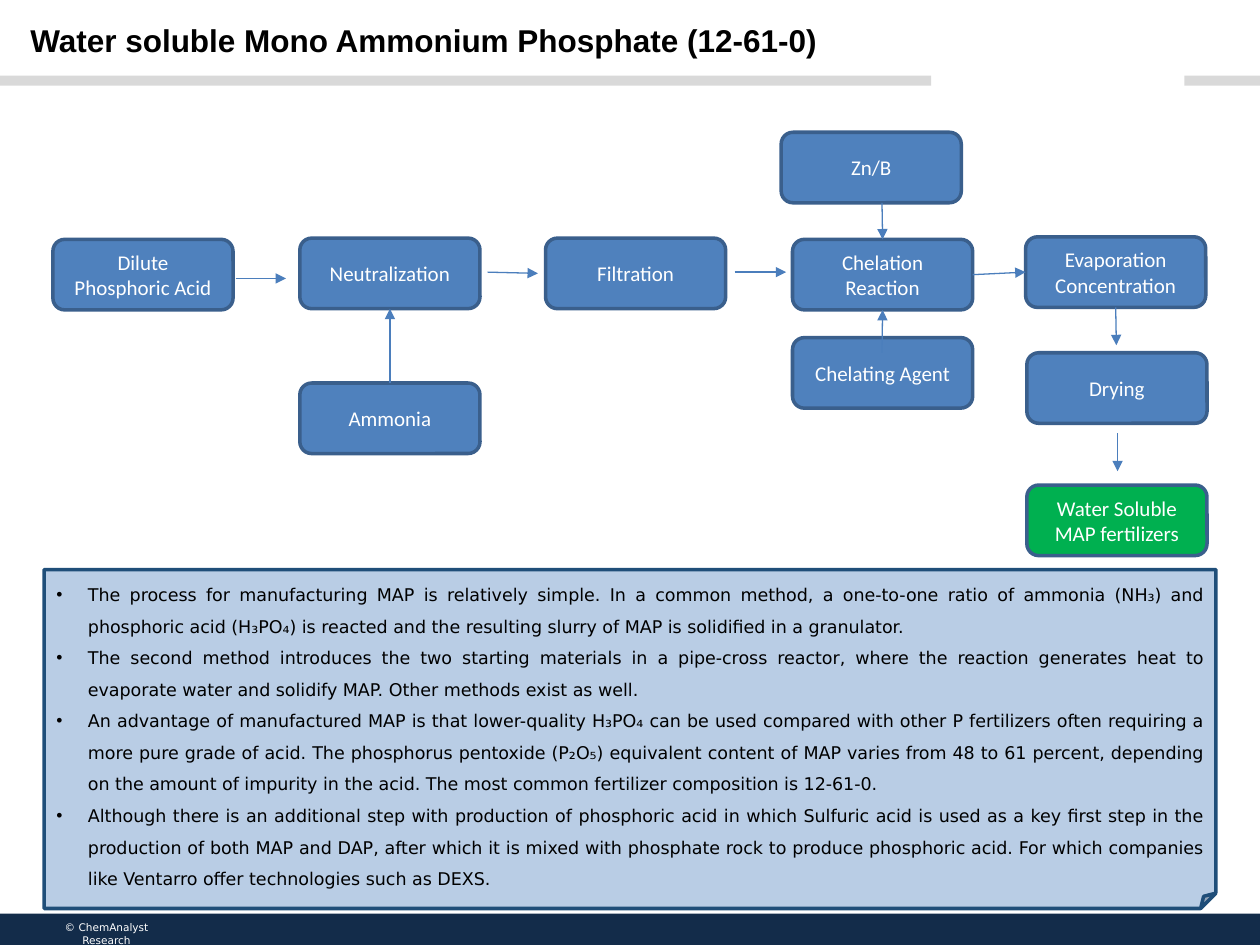
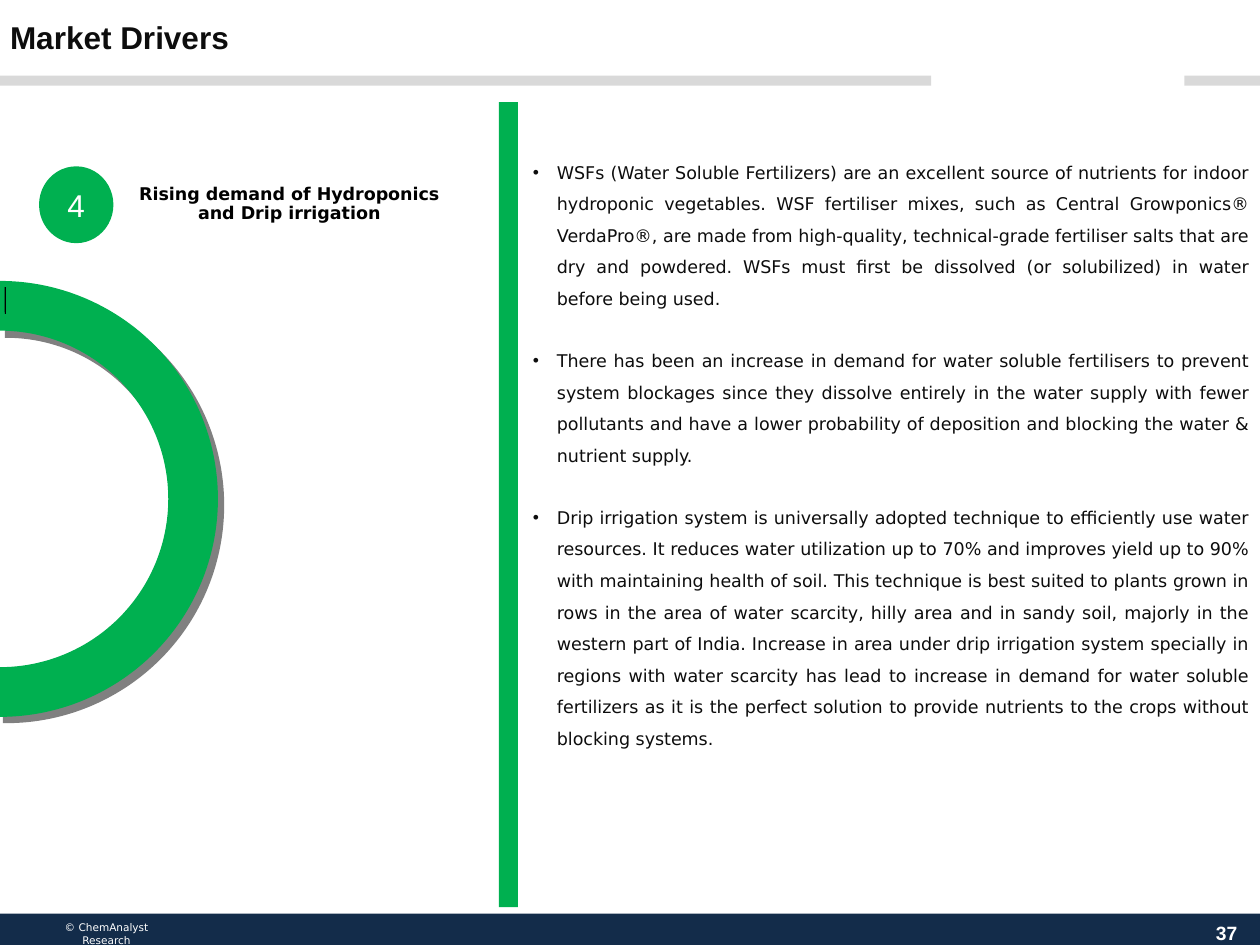
import pptx
import pptx.util
from pptx.dml.color import RGBColor
from pptx.enum.shapes import MSO_CONNECTOR, MSO_SHAPE
from pptx.enum.text import MSO_ANCHOR, MSO_AUTO_SIZE, PP_ALIGN
from pptx.oxml.ns import qn
from pptx.util import Inches, Pt
from lxml import etree

WHITE = RGBColor(0xFF, 0xFF, 0xFF)
BLACK = RGBColor(0x00, 0x00, 0x00)
INK = RGBColor(0x0D, 0x0D, 0x0D)
GRAY = RGBColor(0xD9, 0xD9, 0xD9)
SHADE = RGBColor(0x80, 0x80, 0x80)
NAVY = RGBColor(0x13, 0x2C, 0x4A)
BLUE = RGBColor(0x4F, 0x81, 0xBD)
EDGE = RGBColor(0x3A, 0x5F, 0x8C)
ARROW = RGBColor(0x4B, 0x7E, 0xBC)
GREEN = RGBColor(0x00, 0xB0, 0x50)
PALE = RGBColor(0xB9, 0xCD, 0xE5)
RIM = RGBColor(0x1F, 0x4E, 0x79)

HEAD = {"name": "Arial", "size": Pt(18), "bold": True}
STEP = {"name": "Calibri", "size": Pt(12)}
BODY = {"name": "DejaVu Sans", "size": Pt(10)}
LABEL = {**BODY, "bold": True}
FOOT = {"name": "DejaVu Sans", "size": Pt(6)}
BADGE = {"name": "Arial", "size": Pt(18)}
PAGE = {"name": "Arial", "size": Pt(11), "bold": True}

TOP, LEFT, BOTTOM, RIGHT = range(4)
STEP_W, STEP_H = 1.43, 0.56
STEPS = {
    "Dilute Phosphoric Acid": (0.42, 1.9),
    "Neutralization": (2.38, 1.89),
    "Ammonia": (2.38, 3.04),
    "Filtration": (4.33, 1.89),
    "Zn/B": (6.2, 1.05),
    "Chelation Reaction": (6.29, 1.9),
    "Chelating Agent": (6.29, 2.68),
    "Evaporation Concentration": (8.14, 1.88),
    "Drying": (8.15, 2.8),
    "Water Soluble MAP fertilizers": (8.15, 3.85),
}
GOAL = "Water Soluble MAP fertilizers"

# Each end is a point, or a step and the side to join
LINKS = [
    (("Ammonia", TOP), ("Neutralization", BOTTOM)),
    ((1.87, 2.21), (2.27, 2.21)),
    ((3.87, 2.16), (4.27, 2.17)),
    ((5.83, 2.16), (6.24, 2.16)),
    (("Chelation Reaction", RIGHT), ("Evaporation Concentration", LEFT)),
    ((7, 2.8), ("Chelation Reaction", BOTTOM)),
    ((7, 1.61), ("Chelation Reaction", TOP)),
    (("Evaporation Concentration", BOTTOM), (8.86, 2.74)),
    ((8.87, 3.44), (8.87, 3.74)),
]

METHODS = [
    "The process for manufacturing MAP is relatively simple. In a common method, a one-to-one ratio of "
    "ammonia (NH₃) and phosphoric acid (H₃PO₄) is reacted and the resulting slurry of MAP is solidified "
    "in a granulator.",
    "The second method introduces the two starting materials in a pipe-cross reactor, where the reaction "
    "generates heat to evaporate water and solidify MAP. Other methods exist as well.",
    "An advantage of manufactured MAP is that lower-quality H₃PO₄ can be used compared with other P "
    "fertilizers often requiring a more pure grade of acid. The phosphorus pentoxide (P₂O₅) equivalent "
    "content of MAP varies from 48 to 61 percent, depending on the amount of impurity in the acid. The "
    "most common fertilizer composition is 12-61-0.",
    "Although there is an additional step with production of phosphoric acid in which Sulfuric acid is "
    "used as a key first step in the production of both MAP and DAP, after which it is mixed with "
    "phosphate rock to produce phosphoric acid. For which companies like Ventarro offer technologies "
    "such as DEXS.",
]
DRIVERS = [
    "WSFs (Water Soluble Fertilizers) are an excellent source of nutrients for indoor hydroponic "
    "vegetables. WSF fertiliser mixes, such as Central Growponics® VerdaPro®, are made from "
    "high-quality, technical-grade fertiliser salts that are dry and powdered. WSFs must first be "
    "dissolved (or solubilized) in water before being used.",
    "There has been an increase in demand for water soluble fertilisers to prevent system blockages "
    "since they dissolve entirely in the water supply with fewer pollutants and have a lower probability "
    "of deposition and blocking the water & nutrient supply.",
    "Drip irrigation system is universally adopted technique to efficiently use water resources. It "
    "reduces water utilization up to 70% and improves yield up to 90% with maintaining health of soil. "
    "This technique is best suited to plants grown in rows in the area of water scarcity, hilly area and "
    "in sandy soil, majorly in the western part of India. Increase in area under drip irrigation system "
    "specially in regions with water scarcity has lead to increase in demand for water soluble "
    "fertilizers as it is the perfect solution to provide nutrients to the crops without blocking "
    "systems.",
]


def place(shape, box):
    names = ("left", "top", "width", "height")
    for name, size in zip(names, box):
        setattr(shape, name, Inches(size))


def style(para, form, color, align):
    para.alignment = align
    for run in para.runs:
        for name, value in form.items():
            setattr(run.font, name, value)
        run.font.color.rgb = color


def write(frame, lines, form, color, align=PP_ALIGN.CENTER, anchor=MSO_ANCHOR.MIDDLE, inset=None):
    """Fill a text frame with one paragraph per line and return the paragraphs."""
    frame.word_wrap = True
    frame.auto_size = MSO_AUTO_SIZE.NONE
    frame.vertical_anchor = anchor
    if inset is not None:
        for side in ("left", "top", "right", "bottom"):
            setattr(frame, f"margin_{side}", Inches(inset))
    frame.text = "\n".join(lines)
    for para in frame.paragraphs:
        style(para, form, color, align)
    return frame.paragraphs


def bullet(frame, lines, color, indent, gap=0, **form):
    """Fill a text frame with a justified bullet list."""
    for num, para in enumerate(write(frame, lines, BODY, color, PP_ALIGN.JUSTIFY, **form)):
        para.line_spacing = 1.5
        para.space_before = Pt(gap if num else 0)
        props = para._p.get_or_add_pPr()
        props.set("marL", str(Inches(indent)))
        props.set("indent", str(-Inches(indent)))
        etree.SubElement(props, qn("a:buFont"), typeface="Arial")
        etree.SubElement(props, qn("a:buChar"), char="•")


def draw(slide, kind, box, fill, edge=None):
    shape = slide.shapes.add_shape(kind, *map(Inches, box))
    shape.shadow.inherit = False
    shape.fill.solid()
    shape.fill.fore_color.rgb = fill
    if edge:
        shape.line.color.rgb = edge
        shape.line.width = Pt(2)
    else:
        shape.line.fill.background()
    return shape


def adjust(shape, **values):
    """Set the shape's named guides, given as fractions of 100000."""
    guides = shape._element.spPr.find(qn("a:prstGeom")).get_or_add_avLst()
    for guide in list(guides):
        guides.remove(guide)
    for name, value in values.items():
        etree.SubElement(guides, qn("a:gd"), name=name, fmla=f"val {round(value * 100000)}")


def note(slide, box, lines, form, color, **more):
    frame = slide.shapes.add_textbox(*map(Inches, box)).text_frame
    return write(frame, lines, form, color, **more)


def frame_page(deck, layout, title, spot, color):
    """Add a slide with the shared bands, footer and title."""
    slide = deck.slides.add_slide(deck.slide_layouts[layout])
    for left, width in ((0, 7.39), (9.4, 0.6)):
        draw(slide, MSO_SHAPE.RECTANGLE, (left, 0.6, width, 0.08), GRAY)
    draw(slide, MSO_SHAPE.RECTANGLE, (0, 7.25, 10, 0.25), NAVY)
    note(slide, (0.5, 7.31, 0.69, 0.23), ["© ChemAnalyst", "Research"], FOOT, WHITE,
         anchor=MSO_ANCHOR.TOP, inset=0)
    place(slide.shapes.title, (*spot, 8.4, 0.4))
    write(slide.shapes.title.text_frame, [title], HEAD, color, PP_ALIGN.LEFT, MSO_ANCHOR.TOP, 0)
    return slide


def link(slide, steps, start, end):
    """Draw an arrow, joining each end that names a step."""
    points = [(0, 0) if spot[0] in steps else spot for spot in (start, end)]
    line = slide.shapes.add_connector(MSO_CONNECTOR.STRAIGHT, *(Inches(n) for p in points for n in p))
    for spot, join in ((start, line.begin_connect), (end, line.end_connect)):
        if spot[0] in steps:
            join(steps[spot[0]], spot[1])
    line.line.color.rgb = ARROW
    line.line.width = Pt(0.75)
    etree.SubElement(line.line._get_or_add_ln(), qn("a:tailEnd"), type="triangle")
    etree.SubElement(line._element.spPr, qn("a:effectLst"))


def flow(slide):
    steps = {}
    for name, spot in STEPS.items():
        fill = GREEN if name == GOAL else BLUE
        box = (*spot, STEP_W, STEP_H)
        steps[name] = draw(slide, MSO_SHAPE.ROUNDED_RECTANGLE, box, fill, EDGE)
        write(steps[name].text_frame, [name], STEP, WHITE)
    for start, end in LINKS:
        link(slide, steps, start, end)


def panel(slide, box):
    shape = draw(slide, MSO_SHAPE.FOLDED_CORNER, box, PALE, RIM)
    adjust(shape, adj=0.045)
    bullet(shape.text_frame, METHODS, BLACK, 0.25)


def ring(slide, left, top, size):
    """Draw the half ring over its offset shade, with a thin tick at its start."""
    shift = 0.05
    arcs = [(shift, 54.54, 0.116, SHADE), (0, 54, 0.114, GREEN), (shift, 161.95, 0.061, BLACK)]
    for move, stop, thick, fill in arcs:
        arc = draw(slide, MSO_SHAPE.BLOCK_ARC, (left + move, top + move, size, size), fill)
        adjust(arc, adj1=161.74, adj2=stop, adj3=thick)


def topic(slide, left, top, number, text):
    badge = draw(slide, MSO_SHAPE.OVAL, (left, top, 0.59, 0.61), GREEN)
    write(badge.text_frame, [number], BADGE, WHITE)
    para, = note(slide, (left + 0.58, top + 0.1, 2.81, 0.4), [text], LABEL, BLACK)
    para.line_spacing = 0.9


def process(deck):
    slide = frame_page(deck, 5, "Water soluble Mono Ammonium Phosphate (12-61-0)", (0.24, 0.17), BLACK)
    flow(slide)
    panel(slide, (0.35, 4.52, 9.3, 2.69))


def market(deck):
    slide = frame_page(deck, 1, "Market Drivers", (0.08, 0.14), INK)
    body = slide.placeholders[1]
    place(body, (4.23, 1.2, 5.68, 6))
    bullet(body.text_frame, DRIVERS, INK, 0.19, gap=17.5, anchor=MSO_ANCHOR.TOP, inset=0)
    ring(slide, -1.73, 2.23, 3.46)
    topic(slide, 0.31, 1.32, "4", "Rising demand of Hydroponics and Drip irrigation")
    draw(slide, MSO_SHAPE.RECTANGLE, (3.96, 0.81, 0.15, 6.39), GREEN)
    note(slide, (9.49, 7.2, 0.49, 0.4), ["37"], PAGE, WHITE)


def main():
    deck = pptx.Presentation()
    deck.slide_width = Inches(10)
    deck.slide_height = Inches(7.5)
    process(deck)
    market(deck)
    deck.save("out.pptx")


if __name__ == "__main__":
    main()
